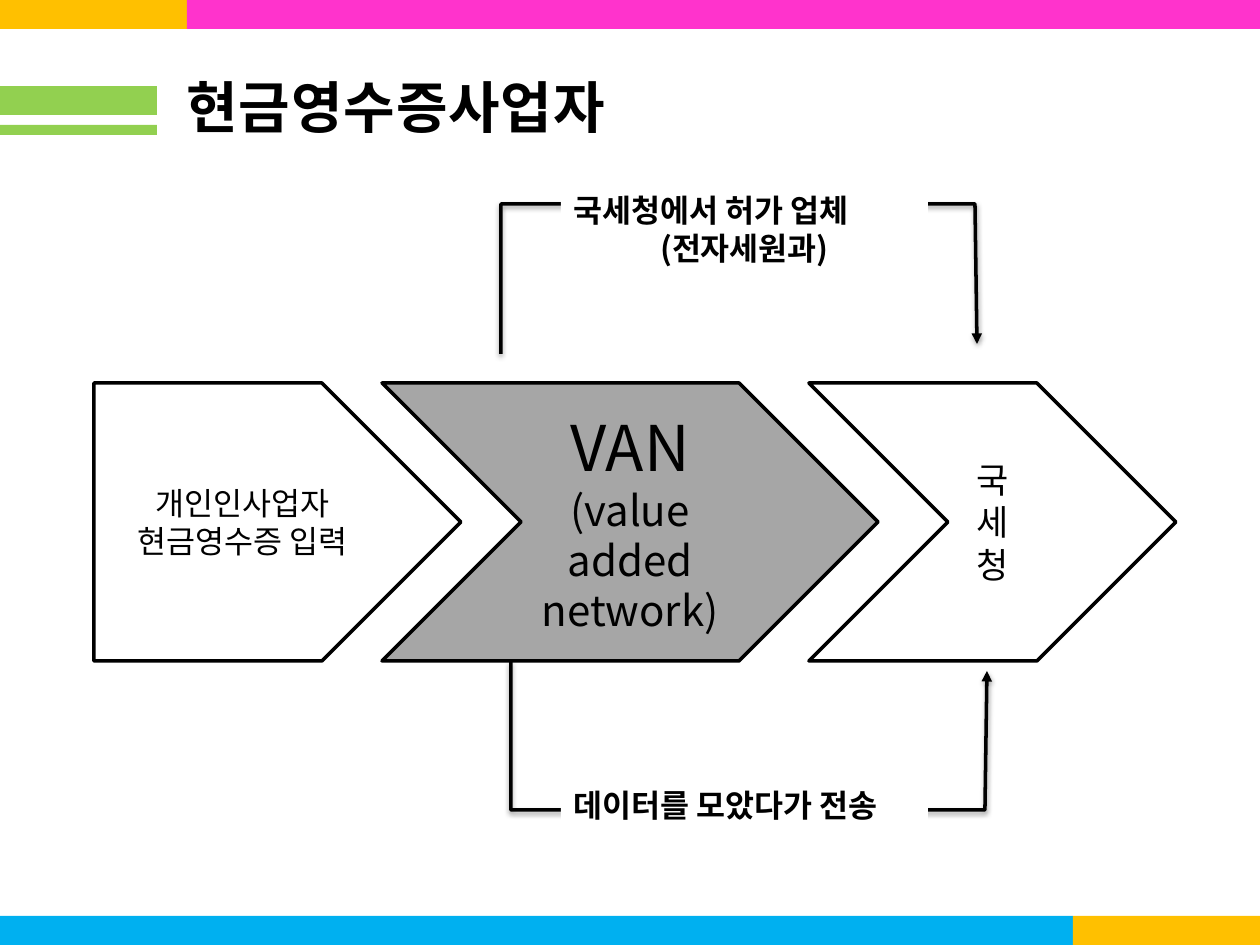
from dataclasses import dataclass

from lxml import etree
from pptx import Presentation
from pptx.dml.color import RGBColor
from pptx.enum.shapes import MSO_SHAPE
from pptx.enum.text import MSO_ANCHOR, MSO_AUTO_SIZE, PP_ALIGN
from pptx.oxml.ns import qn
from pptx.util import Emu, Pt

SCALE = 914400 / 126
RECT, PENTAGON, CHEVRON = MSO_SHAPE.RECTANGLE, MSO_SHAPE.PENTAGON, MSO_SHAPE.CHEVRON
LEFT, CENTER = PP_ALIGN.LEFT, PP_ALIGN.CENTER
TOP, MIDDLE = MSO_ANCHOR.TOP, MSO_ANCHOR.MIDDLE
GROW, FIXED = MSO_AUTO_SIZE.SHAPE_TO_FIT_TEXT, MSO_AUTO_SIZE.NONE


@dataclass(frozen=True)
class Theme:
    """Colours, type sizes and line weight of the slide."""
    font: str = "Noto Sans CJK KR"
    ink: str = "000000"
    paper: str = "FFFFFF"
    amber: str = "FFC000"
    pink: str = "FF33CC"
    blue: str = "00B0F0"
    green: str = "92D050"
    grey: str = "A6A6A6"
    title: int = 32
    headline: int = 36
    subhead: int = 24
    target: int = 20
    body: int = 18
    stroke: int = 2


THEME = Theme()


def px(length):
    """Turn a length in px into EMU."""
    return Emu(round(length * SCALE))


def apply(target, formats):
    """Set each attribute of a dict of format values."""
    for attribute, value in formats.items():
        setattr(target, attribute, value)


def outline(line):
    """Give a line the ink colour and the stroke width."""
    line.color.rgb = RGBColor.from_string(THEME.ink)
    line.width = Pt(THEME.stroke)


def block(slide, box, fill, kind=RECT, outlined=False):
    """Draw a filled preset shape in a box."""
    shape = slide.shapes.add_shape(kind, *map(px, box))
    shape.shadow.inherit = False
    shape.fill.solid()
    shape.fill.fore_color.rgb = RGBColor.from_string(fill)
    if outlined:
        outline(shape.line)
    else:
        shape.line.fill.background()
    return shape


def write(holder, lines, bold=False, anchor=TOP, auto_size=GROW, spacing=0):
    """Write lines of (text, size, alignment) as paragraphs."""
    frame = holder.text_frame
    apply(frame, {"word_wrap": True, "vertical_anchor": anchor, "auto_size": auto_size})
    for index, (text, size, alignment) in enumerate(lines):
        paragraph = frame.paragraphs[0] if index == 0 else frame.add_paragraph()
        paragraph.alignment = alignment
        run = paragraph.add_run()
        run.text = text
        apply(run.font, {"name": THEME.font, "size": Pt(size), "bold": bold})
        run.font.color.rgb = RGBColor.from_string(THEME.ink)
        properties = run.font._element
        etree.SubElement(properties, qn("a:ea"), typeface=THEME.font)
        if spacing:
            properties.set("spc", str(spacing))


def band(slide, box, split, colours):
    """Draw a two-colour band divided at a distance from its left edge."""
    left, top, width, height = box
    block(slide, (left, top, split, height), colours[0])
    block(slide, (left + split, top, width - split, height), colours[1])


def heading(slide, box, text):
    """Draw the green bars and the title beside them."""
    left, top, width, height = box
    for offset, thickness in ((20, 29), (59, 10)):
        block(slide, (left, top + offset, 157, thickness), THEME.green)
    title_box = (left + 174, top, width - 174, height)
    title = slide.shapes.add_textbox(*map(px, title_box))
    write(title, [(text, THEME.title, LEFT)], bold=True, spacing=50)


def process(slide, box):
    """Draw the three steps of the process from left to right."""
    left, top, _, height = box
    steps = (
        (0, 367, PENTAGON, THEME.paper,
         [("개인인사업자", THEME.body, CENTER), ("현금영수증 입력", THEME.body, CENTER)]),
        (288, 496, CHEVRON, THEME.grey,
         [("VAN", THEME.headline, CENTER), ("(value added network)", THEME.subhead, CENTER)]),
        (715, 367, CHEVRON, THEME.paper, [("국세청", THEME.target, CENTER)]),
    )
    for offset, width, kind, fill, lines in steps:
        step = block(slide, (left + offset, top, width, height), fill, kind, outlined=True)
        write(step, lines, anchor=MIDDLE, auto_size=FIXED)


def route(slide, box, upward):
    """Draw a bent arrow that leaves and returns to the process row."""
    left, top, width, height = box
    far, near = (top, top + height) if upward else (top + height, top)
    tip = near - 10 if upward else near + 10
    builder = slide.shapes.build_freeform(left, near, scale=SCALE)
    corners = [(left, far), (left + width - 2, far), (left + width, tip)]
    builder.add_line_segments(corners, close=False)
    arrow = builder.convert_to_shape()
    arrow.fill.background()
    outline(arrow.line)
    etree.SubElement(arrow.line._get_or_add_ln(), qn("a:tailEnd"), type="triangle")
    arrow.shadow.inherit = False
    effects = arrow._element.spPr.find(qn("a:effectLst"))
    shadow = etree.SubElement(effects, qn("a:outerShdw"), blurRad=str(Pt(3.1)),
                              dist=str(Pt(1.6)), dir="5400000", rotWithShape="0")
    colour = etree.SubElement(shadow, qn("a:srgbClr"), val=THEME.ink)
    etree.SubElement(colour, qn("a:alpha"), val="38000")


def labelled_route(slide, box, label_box, lines, upward):
    """Draw a route and the label that interrupts it."""
    route(slide, box, upward)
    left, top, width, height = label_box
    label = block(slide, (box[0] + left, box[1] + top, width, height), THEME.paper)
    write(label, lines, bold=True)


def main():
    """Build and save the slide."""
    deck = Presentation()
    apply(deck, {"slide_width": px(1260), "slide_height": px(945)})
    slide = deck.slides.add_slide(deck.slide_layouts[6])
    band(slide, (0, 0, 1260, 29), 187, (THEME.amber, THEME.pink))
    band(slide, (0, 916, 1260, 29), 1073, (THEME.blue, THEME.amber))
    heading(slide, (0, 66, 858, 81), "현금영수증사업자")
    process(slide, (94, 383, 1082, 278))
    labelled_route(slide, (511, 661, 476, 149), (50, 119, 367, 50),
                   [("데이터를 모았다가 전송", THEME.body, LEFT)], upward=False)
    labelled_route(slide, (501, 204, 476, 150), (60, -19, 367, 89),
                   [("국세청에서 허가 업체", THEME.body, LEFT),
                    ("(전자세원과)", THEME.body, CENTER)], upward=True)
    deck.save("out.pptx")


if __name__ == "__main__":
    main()
